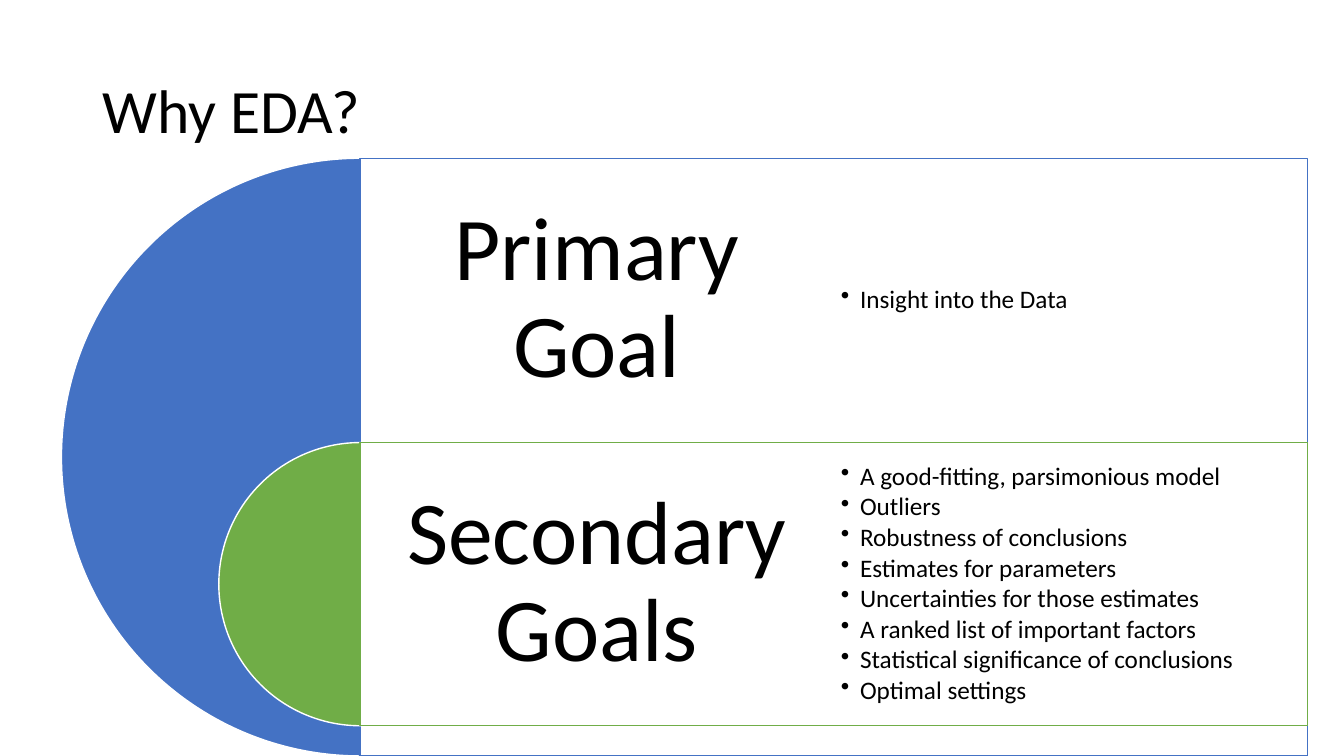
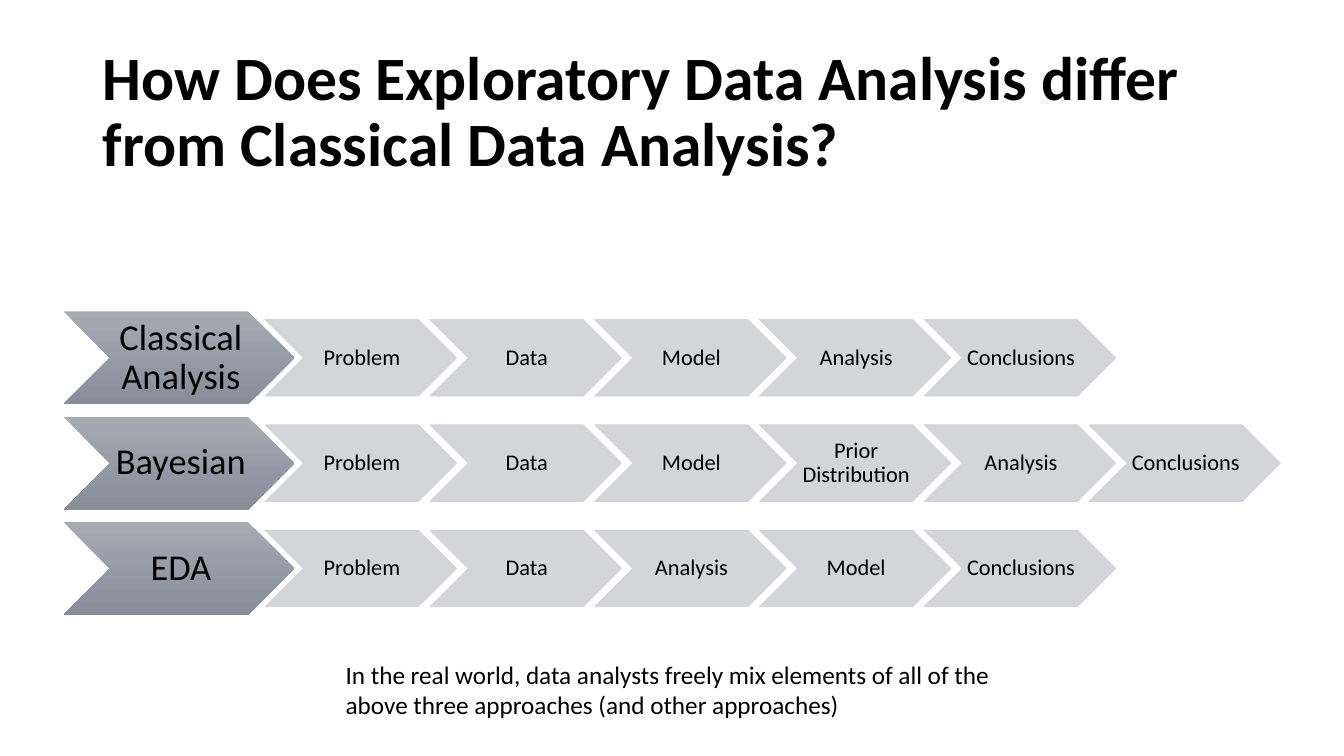
from dataclasses import dataclass

from lxml import etree
from pptx import Presentation
from pptx.dml.color import RGBColor
from pptx.enum.shapes import MSO_SHAPE
from pptx.enum.text import MSO_ANCHOR, PP_ALIGN
from pptx.oxml.ns import qn
from pptx.util import Inches, Pt

PIE, RECT, CHEVRON = MSO_SHAPE.PIE, MSO_SHAPE.RECTANGLE, MSO_SHAPE.CHEVRON
LEFT, CENTER = PP_ALIGN.LEFT, PP_ALIGN.CENTER
TOP, MIDDLE = MSO_ANCHOR.TOP, MSO_ANCHOR.MIDDLE


@dataclass(frozen=True)
class Theme:
    font: str = "Calibri"
    text: str = "000000"
    white: str = "FFFFFF"
    blue: str = "4472C4"
    green: str = "70AD47"
    label_top: str = "A5AAB3"
    label_bottom: str = "878E9A"
    step: str = "CFD1D4"
    opacity: int = 90
    title_size: int = 44
    goal_size: int = 64
    label_size: int = 26
    step_size: int = 16
    body_size: int = 18
    tight: float = 0.9


T = Theme()

# Goals: heading, colour, top of band, circle left, circle size, bullets
BAND_LEFT, BAND_WIDTH, BAND_TEXT_HEIGHT = 3.57, 9.4, 2.81
GOALS = [
    ("Primary Goal", T.blue, 1.57, 0.61, 5.93, ["Insight into the Data"]),
    ("Secondary Goals", T.green, 4.39, 2.17, 2.81, [
        "A good-fitting, parsimonious model",
        "Outliers",
        "Robustness of conclusions",
        "Estimates for parameters",
        "Uncertainties for those estimates",
        "A ranked list of important factors",
        "Statistical significance of conclusions",
        "Optimal settings",
    ]),
]

# Approaches: label followed by its steps
APPROACHES = [
    ("Classical Analysis", ["Problem", "Data", "Model", "Analysis", "Conclusions"]),
    ("Bayesian", ["Problem", "Data", "Model", "Prior Distribution", "Analysis",
                  "Conclusions"]),
    ("EDA", ["Problem", "Data", "Analysis", "Model", "Conclusions"]),
]
FIRST_ROW, LAST_ROW = 3.09, 5.18
LABEL_LEFT, LABEL_WIDTH, LABEL_HEIGHT = 0.63, 2.29, 0.92
STEP_LEFT, STEP_WIDTH, STEP_HEIGHT = 2.63, 1.9, 0.76
STEP_PITCH = 0.86 * STEP_WIDTH


def rgb(value):
    return RGBColor.from_string(value)


def set_opacity(fill_owner, percent):
    """Make the solid colour below a shape or line element translucent."""
    color = fill_owner.find(qn("a:solidFill"))[0]
    etree.SubElement(color, qn("a:alpha")).set("val", str(percent * 1000))


def add_bullet(p):
    pPr = p._p.get_or_add_pPr()
    pPr.set("marL", str(Inches(0.19)))
    pPr.set("indent", str(-Inches(0.19)))
    etree.SubElement(pPr, qn("a:buChar")).set("char", "•")


def write(sp, lines, size, align=LEFT, anchor=MIDDLE, insets=(0.1, 0.05, 0.1, 0.05),
          spacing=T.tight, bold=False, bullets=False):
    tf = sp.text_frame
    tf.word_wrap = True
    tf.vertical_anchor = anchor
    tf.margin_left, tf.margin_top, tf.margin_right, tf.margin_bottom = map(Inches, insets)
    tf.text = "\n".join(lines)
    for p in tf.paragraphs:
        if bullets:
            add_bullet(p)
            p.space_after = Pt(2.4)
        p.alignment = align
        p.line_spacing = spacing
        for r in p.runs:
            r.font.name = T.font
            r.font.size = Pt(size)
            r.font.bold = bold
            r.font.color.rgb = rgb(T.text)


def add_text(s, box, lines, size, **style):
    sp = s.shapes.add_textbox(*map(Inches, box))
    write(sp, lines, size, **style)


def add_title(s, text, bold=False):
    add_text(s, (0.92, 0.4, 11.5, 1.45), [text], T.title_size, bold=bold)


def add_filled(s, kind, box, fill, line=None, width=1):
    sp = s.shapes.add_shape(kind, *map(Inches, box))
    sp.shadow.inherit = False
    sp.fill.solid()
    sp.fill.fore_color.rgb = rgb(fill)
    if line:
        sp.line.color.rgb = rgb(line)
        sp.line.width = Pt(width)
    else:
        sp.line.fill.background()
    return sp


def add_goal(s, heading, color, top, circle_left, size, bullets):
    # Half circle
    pie = add_filled(s, PIE, (circle_left, top, size, size), color, T.white)
    pie.adjustments[0], pie.adjustments[1] = 54, 162  # quarter turns down and up
    # Band with heading and bullets
    band = add_filled(s, RECT, (BAND_LEFT, top, BAND_WIDTH, size), T.white, color)
    set_opacity(band._element.spPr, T.opacity)
    half = BAND_WIDTH / 2
    add_text(s, (BAND_LEFT, top, half, BAND_TEXT_HEIGHT), [heading], T.goal_size,
             align=CENTER, insets=(0.27,) * 4)
    add_text(s, (BAND_LEFT + half, top, half, BAND_TEXT_HEIGHT), bullets, T.body_size,
             insets=(0.07,) * 4, bullets=True)


def add_label(s, top, text):
    sp = add_filled(s, CHEVRON, (LABEL_LEFT, top, LABEL_WIDTH, LABEL_HEIGHT), T.label_top)
    sp.fill.gradient()
    sp.fill.gradient_angle = 270
    for stop, color in zip(sp.fill.gradient_stops, (T.label_top, T.label_bottom)):
        stop.color.rgb = rgb(color)
    write(sp, [text], T.label_size, align=CENTER, insets=(0.04, 0.02, 0, 0.02))


def add_step(s, left, top, text):
    sp = add_filled(s, CHEVRON, (left, top, STEP_WIDTH, STEP_HEIGHT), T.step, T.step, 0.5)
    spPr = sp._element.spPr
    set_opacity(spPr, T.opacity)
    set_opacity(spPr.find(qn("a:ln")), T.opacity)
    write(sp, [text], T.step_size, align=CENTER, insets=(0.02, 0.01, 0, 0.01))


def add_approach(s, top, label, steps):
    add_label(s, top, label)
    step_top = top + (LABEL_HEIGHT - STEP_HEIGHT) / 2
    for i, step in enumerate(steps):
        add_step(s, STEP_LEFT + i * STEP_PITCH, step_top, step)


def build_goals(s):
    add_title(s, "Why EDA?")
    for goal in GOALS:
        add_goal(s, *goal)


def build_comparison(s):
    add_title(s, "How Does Exploratory Data Analysis differ from Classical Data Analysis?",
              bold=True)
    pitch = (LAST_ROW - FIRST_ROW) / (len(APPROACHES) - 1)
    for i, (label, steps) in enumerate(APPROACHES):
        add_approach(s, FIRST_ROW + i * pitch, label, steps)
    # Closing remark
    add_text(s, (3.33, 6.49, 6.67, 0.71),
             ["In the real world, data analysts freely mix elements of all of the above "
              "three approaches (and other approaches)"],
             T.body_size, anchor=TOP, spacing=1.0)


def main():
    prs = Presentation()
    prs.slide_width, prs.slide_height = Inches(13.33), Inches(7.5)
    for build in (build_goals, build_comparison):
        build(prs.slides.add_slide(prs.slide_layouts[6]))
    prs.save("out.pptx")


if __name__ == "__main__":
    main()
